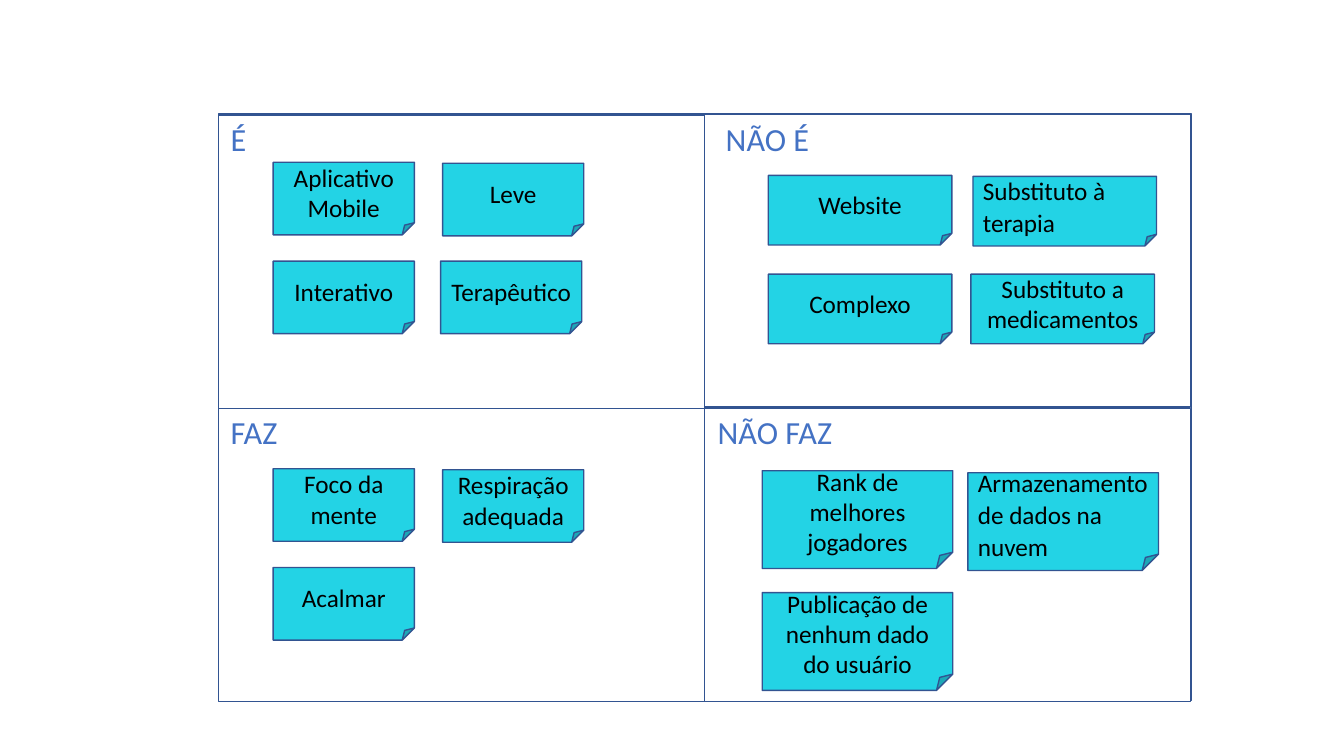
from pptx import Presentation
from pptx import util as u
from pptx.dml import color as c
from pptx.enum import shapes, text

WHITE = c.RGBColor(0xFF, 0xFF, 0xFF)
BLACK = c.RGBColor(0x00, 0x00, 0x00)
NAVY = c.RGBColor(0x32, 0x54, 0x91)
BLUE = c.RGBColor(0x44, 0x72, 0xC4)
CYAN = c.RGBColor(0x23, 0xD3, 0xE5)

BOARD = (2.17, 1.13, 9.65, 5.82)
PANEL_SIZE = (4.82, 2.91)

# Each quadrant: title, panel corner, title box, note size,
# then notes as (left, top, wording, is left aligned).
QUADRANTS = [
    ("É", (2.17, 1.14), (2.19, 1.13, 0.42, 0.49), (1.4, 0.72), [
        (2.71, 1.61, "Aplicativo Mobile", False),
        (4.39, 1.62, "Leve", False),
        (2.71, 2.59, "Interativo", False),
        (4.37, 2.59, "Terapêutico", False)]),
    ("FAZ", (2.17, 4.05), (2.19, 4.04, 0.7, 0.49), (1.4, 0.72), [
        (2.71, 4.65, "Foco da mente", False),
        (4.39, 4.66, "Respiração adequada", False),
        (2.71, 5.63, "Acalmar", False)]),
    ("NÃO É", (6.99, 1.13), (7.1, 1.13, 1.14, 0.49), (1.82, 0.69), [
        (7.62, 1.74, "Website", False),
        (9.65, 1.75, "Substituto à terapia", True),
        (7.62, 2.72, "Complexo", False),
        (9.63, 2.72, "Substituto a medicamentos", False)]),
    ("NÃO FAZ", (6.99, 4.05), (7.02, 4.04, 1.39, 0.49), (1.89, 0.97), [
        (7.56, 4.67, "Rank de melhores jogadores", False),
        (9.6, 4.69, "Armazenamento de dados na nuvem", True),
        (7.56, 5.88, "Publicação de nenhum dado do usuário", False)]),
]


class Board:
    """Holds the style and the current slide."""

    font = "Calibri"
    title_size = u.Pt(23)
    note_size = u.Pt(18)
    line_width = u.Pt(1)

    def __init__(self, page):
        """Keep the slide to draw on."""
        self.page = page

    def shape(self, kind, area, fill):
        """Add a flat outlined shape."""
        box = self.page.shapes.add_shape(kind, *map(u.Inches, area))
        box.shadow.inherit = False
        box.fill.solid()
        box.fill.fore_color.rgb = fill
        box.line.color.rgb = NAVY
        box.line.width = self.line_width
        return box

    def label(self, box, wording, size, color):
        """Set one paragraph of text and return it."""
        box.text_frame.text = wording
        paragraph = box.text_frame.paragraphs[0]
        for span in paragraph.runs:
            span.font.name = self.font
            span.font.size = size
            span.font.color.rgb = color
        return paragraph

    def panel(self, area):
        """Add a white panel."""
        self.shape(shapes.MSO_SHAPE.RECTANGLE, area, WHITE)

    def title(self, area, wording):
        """Add a quadrant title that grows with its text."""
        box = self.page.shapes.add_textbox(*map(u.Inches, area))
        box.text_frame.word_wrap = False
        box.text_frame.auto_size = text.MSO_AUTO_SIZE.SHAPE_TO_FIT_TEXT
        self.label(box, wording, self.title_size, BLUE)

    def note(self, area, wording, left_aligned):
        """Add a sticky note with a folded corner."""
        box = self.shape(shapes.MSO_SHAPE.FOLDED_CORNER, area, CYAN)
        box.text_frame.word_wrap = True
        box.text_frame.vertical_anchor = text.MSO_ANCHOR.MIDDLE
        paragraph = self.label(box, wording, self.note_size, BLACK)
        if left_aligned:
            paragraph.alignment = text.PP_ALIGN.LEFT
            paragraph.line_spacing = 1.07
            paragraph.space_after = u.Pt(8)
        else:
            paragraph.alignment = text.PP_ALIGN.CENTER


def main():
    """Build the four-quadrant slide and save it."""
    deck = Presentation()
    deck.slide_width = u.Inches(13.33)
    deck.slide_height = u.Inches(7.5)
    board = Board(deck.slides.add_slide(deck.slide_layouts[6]))

    board.panel(BOARD)
    for _, corner, _, _, _ in QUADRANTS:
        board.panel(corner + PANEL_SIZE)
    for wording, _, title_area, _, _ in QUADRANTS:
        board.title(title_area, wording)
    for _, _, _, size, notes in QUADRANTS:
        for left, top, wording, left_aligned in notes:
            board.note((left, top) + size, wording, left_aligned)

    deck.save("out.pptx")


main()
